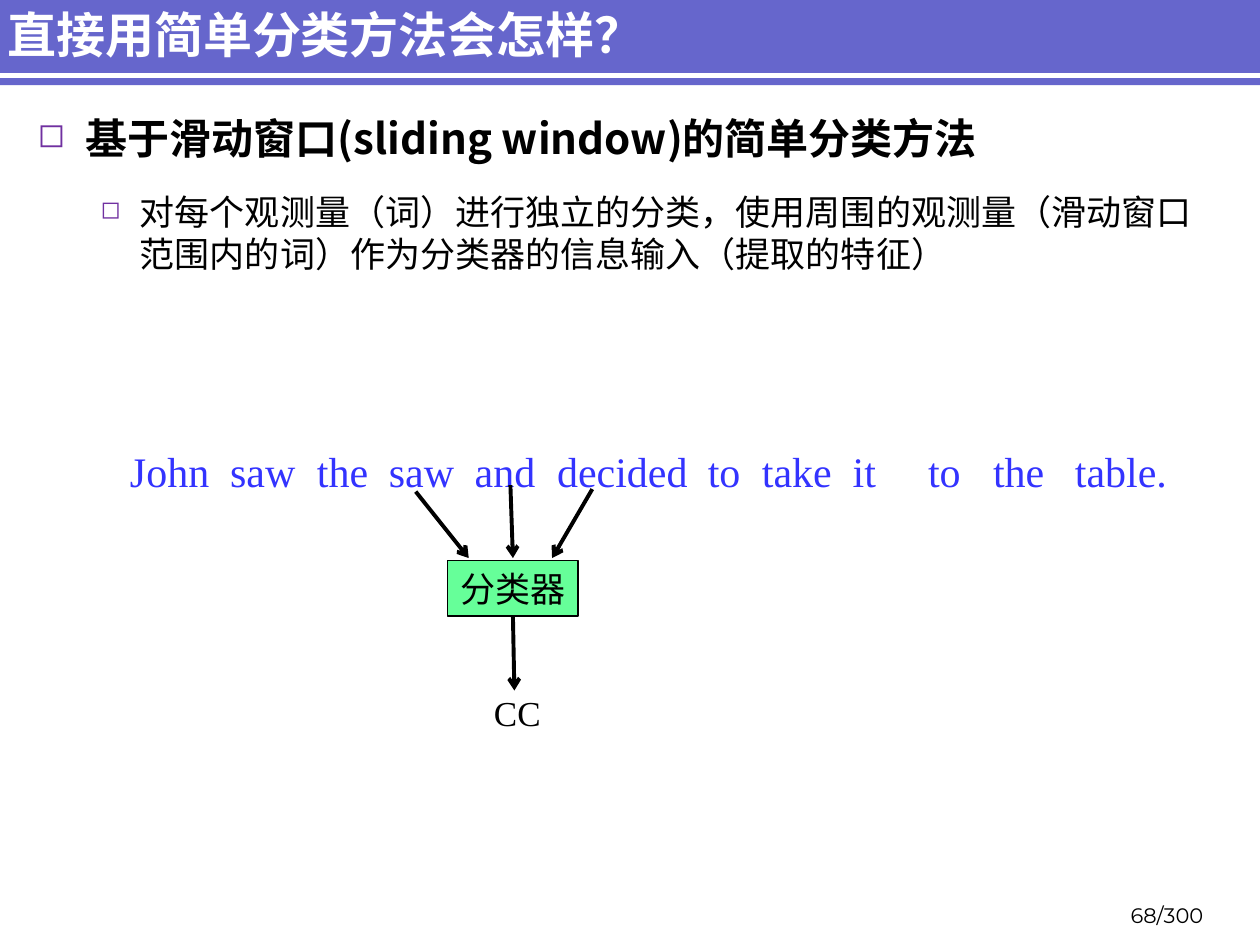
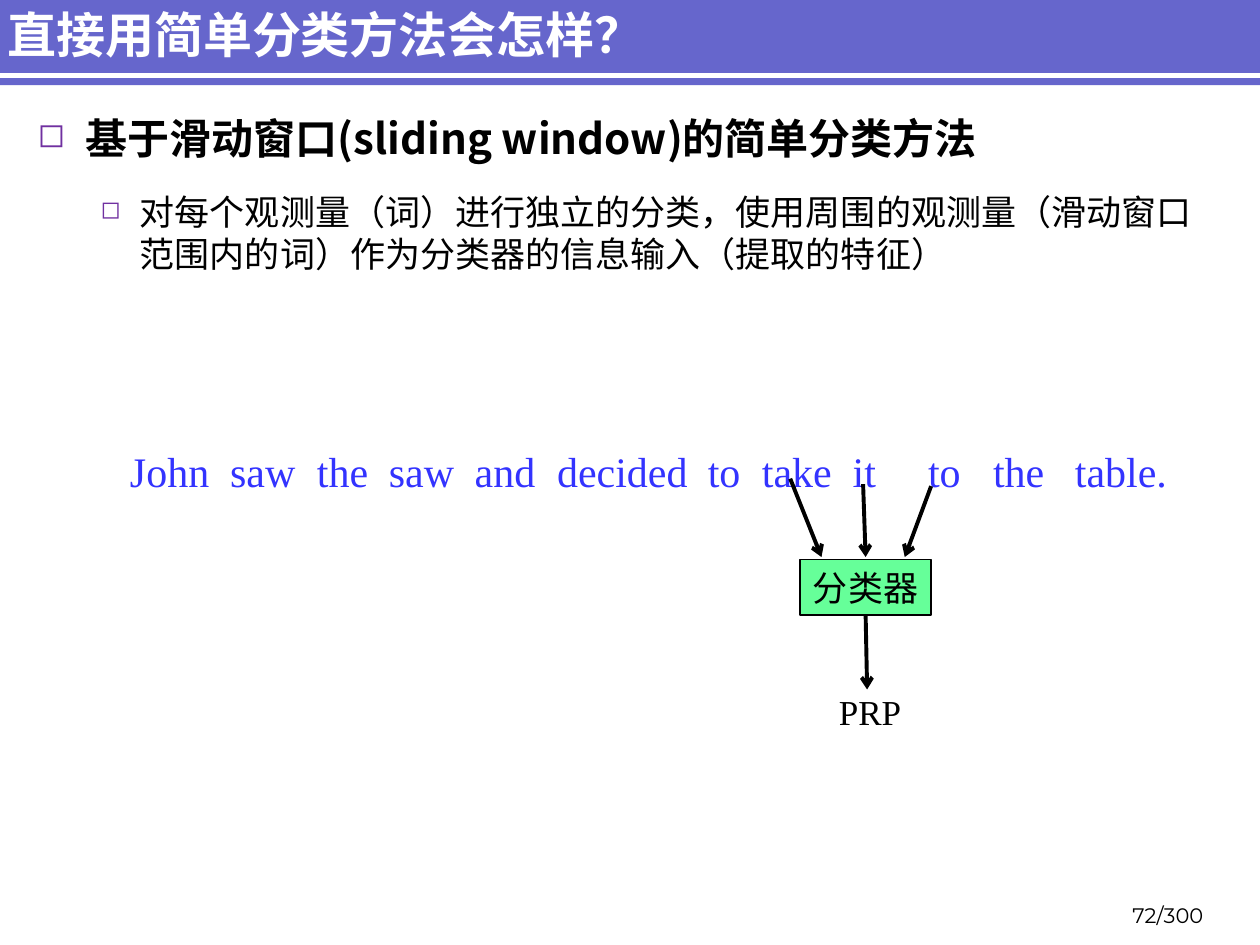
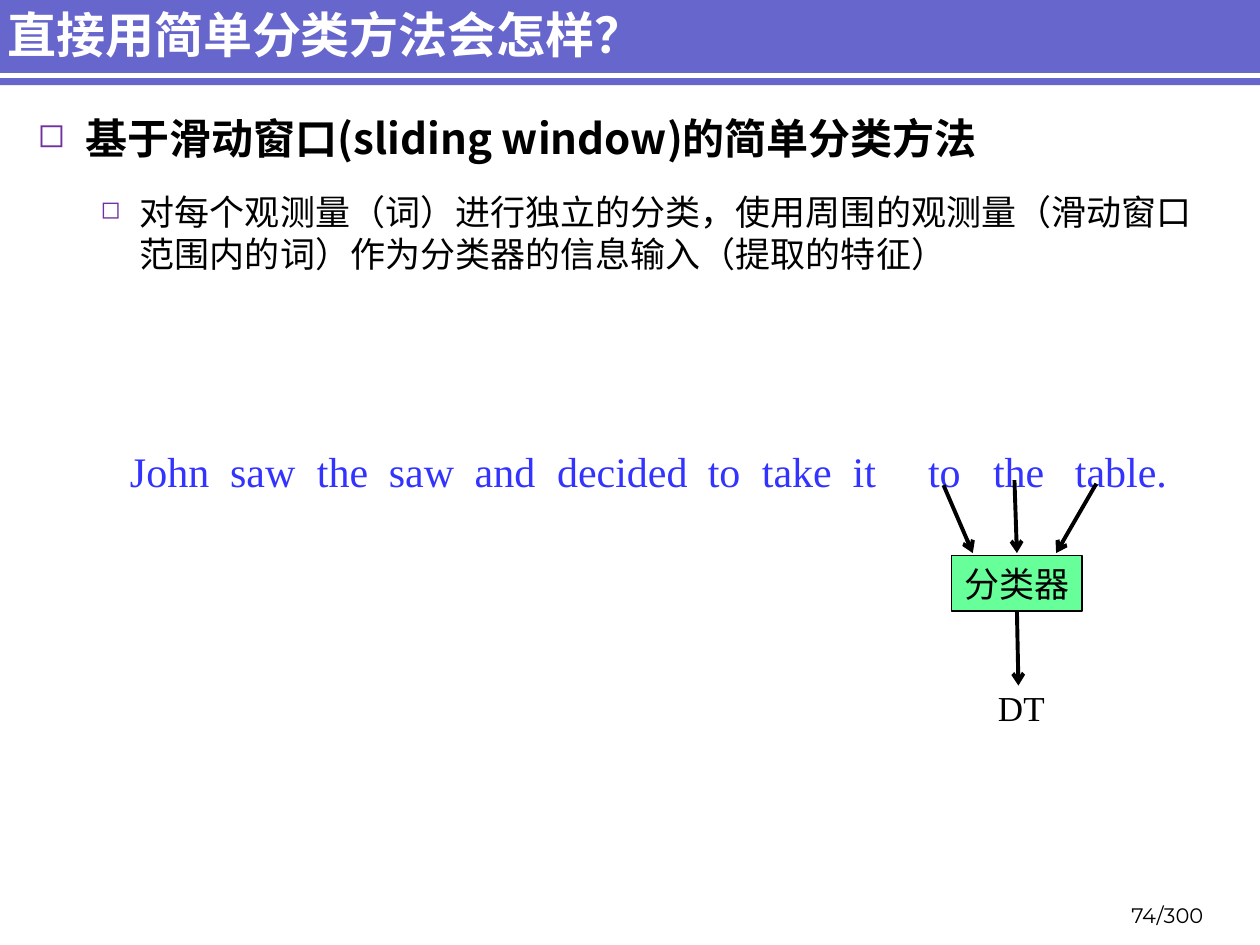
from lxml import etree
from pptx import Presentation
from pptx.dml.color import RGBColor
from pptx.enum.shapes import MSO_CONNECTOR, MSO_SHAPE
from pptx.enum.text import MSO_ANCHOR, PP_ALIGN
from pptx.oxml.ns import qn
from pptx.util import Cm, Pt

STRAIGHT = MSO_CONNECTOR.STRAIGHT
RECTANGLE = MSO_SHAPE.RECTANGLE
TOP, MIDDLE, BOTTOM = MSO_ANCHOR.TOP, MSO_ANCHOR.MIDDLE, MSO_ANCHOR.BOTTOM
LEFT, CENTER, RIGHT = PP_ALIGN.LEFT, PP_ALIGN.CENTER, PP_ALIGN.RIGHT
BOTTOM_SIDE = 2

BLACK = RGBColor(0x00, 0x00, 0x00)
WHITE = RGBColor(0xFF, 0xFF, 0xFF)
BAND_BLUE = RGBColor(0x66, 0x66, 0xCC)
SENTENCE_BLUE = RGBColor(0x33, 0x33, 0xFF)
CLASSIFIER_GREEN = RGBColor(0x66, 0xFF, 0x99)
BULLET_PURPLE = RGBColor(0x70, 0x30, 0xA0)

CHINESE_FONT = "Noto Sans CJK SC"
ENGLISH_FONT = "Times New Roman"
PAGE_FONT = "Montserrat"

TITLE = "直接用简单分类方法会怎样？"
BULLETS = [
    dict(text="基于滑动窗口(sliding window)的简单分类方法", level=0, size=24, bold=True,
         margin=0.97, hanging=0.97, before=0, after=12, line=29, bullet_percent=80),
    dict(text="对每个观测量（词）进行独立的分类，使用周围的观测量（滑动窗口范围内的词）"
              "作为分类器的信息输入（提取的特征）", level=1, size=20, bold=False,
         margin=2.06, hanging=0.79, before=4, after=6, line=24, bullet_percent=70),
]
# Each word of the sentence with its distance from the first one, in cm.
SENTENCE = [
    ("John", 0), ("saw", 2.02), ("the", 3.77), ("saw", 5.22), ("and", 6.95),
    ("decided", 8.61), ("to", 11.65), ("take", 12.74), ("it", 14.57),
    ("to", 16.09), ("the", 17.4), ("table.", 19.05),
]
# Classifier corner and the starts of the outer arrows, in cm.
WINDOWS = [
    dict(page="68/300", tag="CC", corner=(9.02, 11.3),
         previous=(8.38, 9.91), following=(11.94, 9.86)),
    dict(page="72/300", tag="PRP", corner=(16.13, 11.28),
         previous=(15.93, 9.65), following=(18.77, 9.8)),
    dict(page="74/300", tag="DT", corner=(19.18, 11.2),
         previous=(19.02, 9.78), following=(22.1, 9.75)),
]

SLIDE_WIDTH, SLIDE_HEIGHT = 25.4, 19.05
CLASSIFIER_WIDTH, CLASSIFIER_HEIGHT = 2.64, 1.12
TAG_WIDTH, TAG_HEIGHT = 2, 1.09


def add_run(paragraph, text, size, font, color, bold=False):
    run = paragraph.add_run()
    run.text = text
    run.font.size = Pt(size)
    run.font.name = font
    run.font.bold = bold
    run.font.color.rgb = color
    if font == CHINESE_FONT:
        east_asian = etree.SubElement(run._r.get_or_add_rPr(), qn("a:ea"))
        east_asian.set("typeface", font)


def add_text_box(slide, left, top, width, height, anchor=TOP, align=LEFT):
    """Add a text box and return its first paragraph."""
    frame = slide.shapes.add_textbox(Cm(left), Cm(top), Cm(width), Cm(height)).text_frame
    frame.word_wrap = True
    frame.vertical_anchor = anchor
    frame.paragraphs[0].alignment = align
    return frame.paragraphs[0]


def add_rectangle(slide, left, top, width, height, fill):
    rectangle = slide.shapes.add_shape(RECTANGLE, Cm(left), Cm(top), Cm(width), Cm(height))
    rectangle.shadow.inherit = False
    rectangle.fill.solid()
    rectangle.fill.fore_color.rgb = fill
    rectangle.line.fill.background()
    return rectangle


def add_line(slide, start, end, color=BLACK, width=2.25, arrow=True):
    line = slide.shapes.add_connector(STRAIGHT, *(Cm(value) for value in (*start, *end)))
    line.line.color.rgb = color
    line.line.width = Pt(width)
    if arrow:
        etree.SubElement(line.line._get_or_add_ln(), qn("a:tailEnd")).set("type", "arrow")
    etree.SubElement(line._element.spPr, qn("a:effectLst"))
    return line


def add_bullet(paragraph, item):
    properties = paragraph._p.get_or_add_pPr()
    properties.set("marL", str(Cm(item["margin"])))
    properties.set("indent", str(-Cm(item["hanging"])))
    color = etree.SubElement(properties, qn("a:buClr"))
    etree.SubElement(color, qn("a:srgbClr")).set("val", str(BULLET_PURPLE))
    size = etree.SubElement(properties, qn("a:buSzPct"))
    size.set("val", str(item["bullet_percent"] * 1000))
    etree.SubElement(properties, qn("a:buChar")).set("char", "◻")
    paragraph.level = item["level"]
    paragraph.line_spacing = Pt(item["line"])
    paragraph.space_before = Pt(item["before"])
    paragraph.space_after = Pt(item["after"])
    add_run(paragraph, item["text"], item["size"], CHINESE_FONT, BLACK, item["bold"])


def add_frame(slide, page):
    """Add the title band and the page number."""
    add_rectangle(slide, -0.1, -0.08, 25.5, 1.8, BAND_BLUE)
    add_line(slide, (-0.1, 1.52), (SLIDE_WIDTH, 1.52), WHITE, 3, arrow=False)
    title = add_text_box(slide, -0.1, 0.13, 22.28, 1.09, MIDDLE)
    add_run(title, TITLE, 28, CHINESE_FONT, WHITE, bold=True)
    number = add_text_box(slide, 21.87, 17.93, 2.64, 0.89, BOTTOM, RIGHT)
    add_run(number, page, 12, PAGE_FONT, BLACK)


def add_body(slide):
    paragraph = add_text_box(slide, 0.51, 2.13, 24, 15.6)
    frame = paragraph._parent
    for index, item in enumerate(BULLETS):
        add_bullet(frame.add_paragraph() if index else paragraph, item)


def add_sentence(slide):
    paragraph = add_text_box(slide, 2.37, 8.85, 21.62, 1.3)
    tabs = etree.SubElement(paragraph._p.get_or_add_pPr(), qn("a:tabLst"))
    for _, offset in SENTENCE[1:]:
        etree.SubElement(tabs, qn("a:tab"), pos=str(Cm(offset)), algn="l")
    text = "\t".join(word for word, _ in SENTENCE)
    add_run(paragraph, text, 24, ENGLISH_FONT, SENTENCE_BLUE)


def add_classifier(slide, window):
    """Add the classifier with its three input arrows and the tag it gives."""
    left, top = window["corner"]
    arrow_bottom = top - 0.05
    add_line(slide, window["previous"], (left + 0.43, arrow_bottom))
    add_line(slide, window["following"], (left + 2.11, arrow_bottom))
    add_line(slide, (left + 1.27, top - 1.52), (left + 1.32, arrow_bottom))

    box = add_rectangle(slide, left, top, CLASSIFIER_WIDTH, CLASSIFIER_HEIGHT,
                        CLASSIFIER_GREEN)
    box.line.color.rgb = BLACK
    box.line.width = Pt(1)
    box.text_frame.word_wrap = False
    box.text_frame.vertical_anchor = MIDDLE
    paragraph = box.text_frame.paragraphs[0]
    paragraph.alignment = CENTER
    add_run(paragraph, "分类器", 20, CHINESE_FONT, BLACK)

    output = add_line(slide, (left + CLASSIFIER_WIDTH / 2, top + CLASSIFIER_HEIGHT),
                      (left + 1.35, top + 2.62))
    output.begin_connect(box, BOTTOM_SIDE)
    tag = add_text_box(slide, left + 1.41 - TAG_WIDTH / 2, top + 2.51,
                       TAG_WIDTH, TAG_HEIGHT, align=CENTER)
    add_run(tag, window["tag"], 20, ENGLISH_FONT, BLACK)


def main():
    presentation = Presentation()
    presentation.slide_width = Cm(SLIDE_WIDTH)
    presentation.slide_height = Cm(SLIDE_HEIGHT)
    blank = presentation.slide_layouts[6]
    for window in WINDOWS:
        slide = presentation.slides.add_slide(blank)
        add_frame(slide, window["page"])
        add_body(slide)
        add_sentence(slide)
        add_classifier(slide, window)
    presentation.save("out.pptx")


if __name__ == "__main__":
    main()
